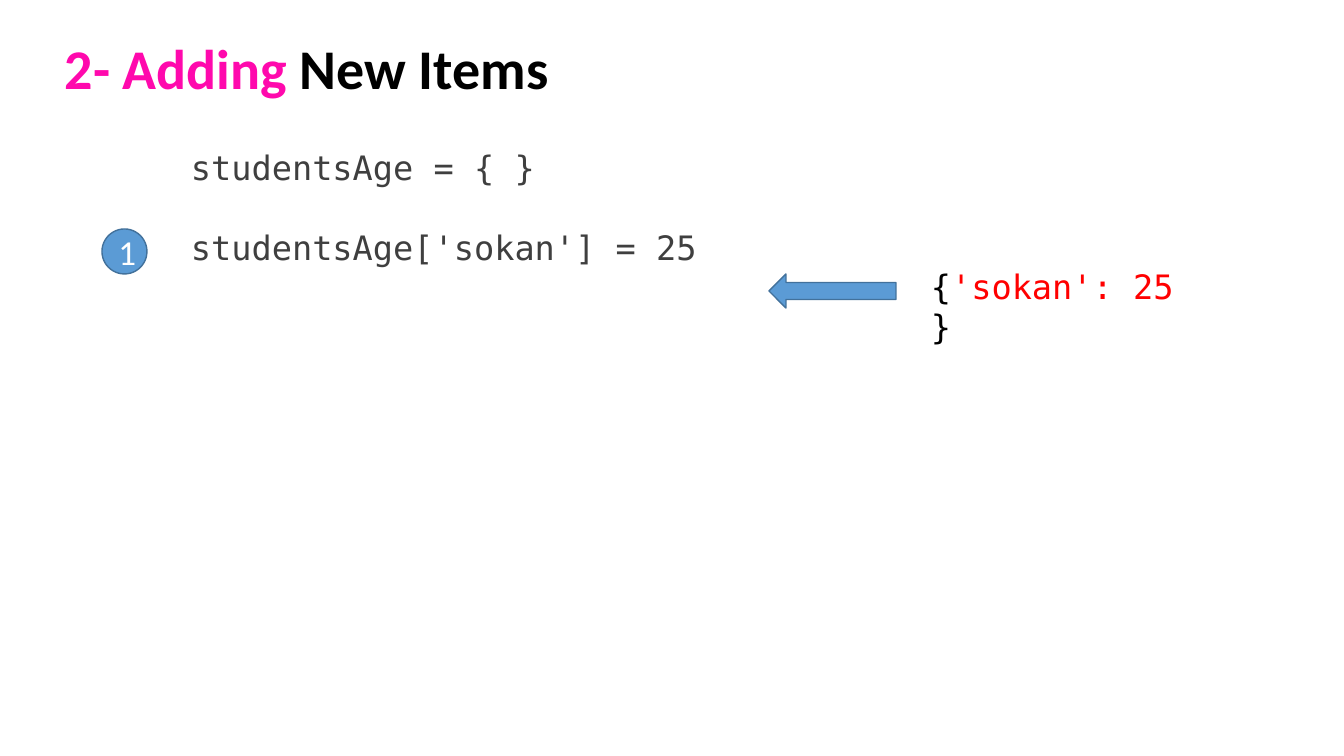
from pptx import Presentation
from pptx.dml.color import RGBColor
from pptx.enum.shapes import MSO_SHAPE as Shape
from pptx.enum.text import MSO_ANCHOR as Anchor, PP_ALIGN as Align
from pptx.util import Emu, Pt

SCALE = 914400 / 100.8
SANS, MONO = "Calibri", "DejaVu Sans Mono"
BLACK, GREY, PINK, RED, WHITE = "000000", "3F3F3F", "FF09AD", "FF0000", "FFFFFF"
BLUE, DARK_BLUE = "5B9BD5", "42719B"


def px(length):
    """Turn pixels into EMU."""
    return Emu(round(length * SCALE))


def color(hex_string):
    """Turn a hex string into a colour."""
    return RGBColor.from_string(hex_string)


def write(frame, paragraphs, size, font, bold=False, align=Align.LEFT, gap=0):
    """Fill a frame with paragraphs, each a list of (text, colour) spans."""
    frame.word_wrap = True
    for index, spans in enumerate(paragraphs):
        para = frame.add_paragraph() if index else frame.paragraphs[0]
        para.alignment = align
        para.space_before = Pt(gap if index else 0)
        for text, hex_string in spans:
            span = para.add_run()
            span.text = text
            span.font.size, span.font.name, span.font.bold = Pt(size), font, bold
            span.font.color.rgb = color(hex_string)


def add_text(page, box, paragraphs, **style):
    """Add a text box at box (left, top, width, height)."""
    write(page.shapes.add_textbox(*map(px, box)).text_frame, paragraphs, **style)


def add_blue_shape(page, kind, box):
    """Add a blue outlined preset shape."""
    shape = page.shapes.add_shape(kind, *map(px, box))
    shape.shadow.inherit = False
    shape.fill.solid()
    shape.fill.fore_color.rgb = color(BLUE)
    shape.line.color.rgb = color(DARK_BLUE)
    shape.line.width = Pt(1)
    return shape


def add_title(page, box):
    """Add the two-coloured heading."""
    add_text(page, box, [[("2- Adding", PINK), (" New Items ", BLACK)]],
             size=40, font=SANS, bold=True, align=Align.CENTER)


def add_code_step(page, box):
    """Add the numbered badge and the code to its right."""
    left, top, width, height = box
    badge = add_blue_shape(page, Shape.OVAL, (left, top + 87, 45, 45))
    badge.text_frame.vertical_anchor = Anchor.MIDDLE
    write(badge.text_frame, [[("1", WHITE)]], size=25, font=SANS, align=Align.CENTER)
    lines = ["studentsAge = { }", "studentsAge['sokan'] = 25"]
    add_text(page, (left + 79, top, width - 79, height),
             [[(line, GREY)] for line in lines], size=24, font=MONO, gap=28)


def add_result(page, box):
    """Add the resulting dictionary and the arrow pointing back to the code."""
    left, top, width, height = box
    add_blue_shape(page, Shape.LEFT_ARROW, (left, top + 13, 127, 34))
    add_text(page, (left + 152, top, width - 152, height),
             [[("{", BLACK), ("'sokan': 25 ", RED), ("}", BLACK)]], size=24, font=MONO)


deck = Presentation()
deck.slide_width, deck.slide_height = px(1344), px(756)
page = deck.slides.add_slide(deck.slide_layouts[6])
add_title(page, (52, 29, 522, 78))
add_code_step(page, (102, 142, 699, 131))
add_result(page, (769, 261, 434, 50))
deck.save("out.pptx")
